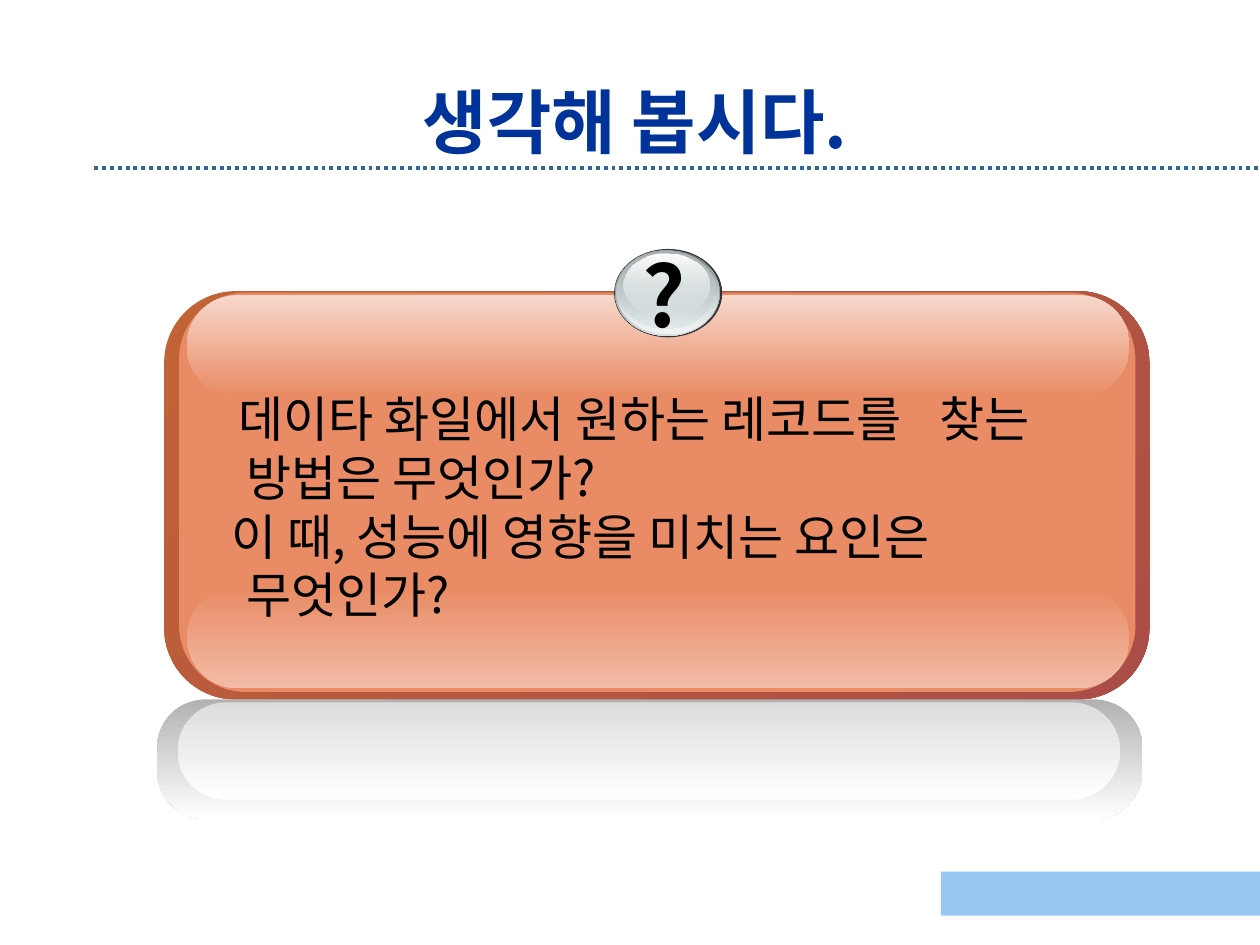
from lxml.etree import SubElement
from pptx import Presentation
from pptx.dml.color import RGBColor as Rgb
from pptx.enum.dml import MSO_LINE as Dash
from pptx.enum.shapes import MSO_CONNECTOR as Link, MSO_SHAPE as Kind
from pptx.enum.text import MSO_ANCHOR as Anchor, PP_ALIGN as Align
from pptx.oxml.ns import qn
from pptx.util import Cm, Pt

FONT = "Noto Sans CJK KR"
HUE = {
    "navy": "003399", "rule": "336699", "sky": "99C7F3", "ink": "000000",
    "rust": "C16237", "wine": "AB4E47", "coral": "E98B65", "peach": "F2BCA6",
    "blush": "F8D8CC", "coal": "333333", "slate": "636869", "mist": "D6E1E2",
    "pearl": "F1F5F5", "steel": "AAB2B3", "white": "FFFFFF", "gray": "B2B2B2",
    "pale": "DDDDDD",
}
TITLE = "생각해 봅시다."
ASK = [
    ("데이타 화일에서 원하는 레코드를\t찾는 방법은 무엇인가?", -0.16),
    ("이 때, 성능에 영향을 미치는 요인은 무엇인가?", -0.31),
]
BAR = [((18.97, 17.57, 6.43, 0.89), None, ["sky"], 0)]
PANEL = [
    ((3.31, 5.87, 19.86, 8.23), 0.175, ["rust", "wine"], 45),
    ((3.61, 5.9, 19.28, 8.05), 0.167, ["coral"], 0),
    ((3.77, 11.84, 19, 2.03), 0.5, ["coral", "peach"], 90),
    ((3.77, 5.95, 19, 2.03), 0.5, ["blush", "coral"], 90),
]
BADGE = [
    ((12.38, 5.02, 2.18, 1.78), None, ["coal"], 0),
    ((12.4, 5.04, 2.11, 1.73), None, ["slate", "mist"], 90),
    ((12.42, 5.04, 2.06, 1.68), None, [("mist", 0), "pearl"], 90),
    ((12.45, 5.06, 1.96, 1.57), None, ["steel", ("mist", 48)], 90),
    ((12.56, 5.12, 1.75, 1.27), None, ["white", ("mist", 38)], 90),
]
ECHO = [
    ((3.17, 14.1, 19.86, 2.41), 0.404, ["gray", "white"], 90),
    ((3.58, 14.16, 19, 1.96), 0.5, ["pale", "white"], 90),
]


def tint(name):
    return Rgb.from_string(HUE[name])


def put(obj, **vals):
    for key, val in vals.items():
        setattr(obj, key, val)


def spot(box):
    return [Cm(n) for n in box]


def paint(fill, hues, angle):
    if len(hues) == 1:
        fill.solid()
        fill.fore_color.rgb = tint(hues[0])
        return
    fill.gradient()
    fill.gradient_angle = 360 - angle
    for stop, hue in zip(fill.gradient_stops, hues):
        name, alpha = (hue, 100) if isinstance(hue, str) else hue
        stop.color.rgb = tint(name)
        if alpha < 100:
            node = stop._gs.find(qn("a:srgbClr"))
            SubElement(node, qn("a:alpha"), val=str(alpha * 1000))


def stack(shapes, kind, parts):
    for box, bend, hues, angle in parts:
        shape = shapes.add_shape(kind, *spot(box))
        shape.shadow.inherit = False
        shape.line.fill.background()
        if bend:
            shape.adjustments[0] = bend
        paint(shape.fill, hues, angle)


def write(para, text, size, hue, bold=False):
    run = para.add_run()
    run.text = text
    put(run.font, size=Pt(size), name=FONT, bold=bold)
    run.font.color.rgb = tint(hue)
    SubElement(run._r.get_or_add_rPr(), qn("a:ea"), typeface=FONT)


def head(slide):
    title = slide.shapes.title
    left, top, width, height = spot((1.91, 1.7, 21.79, 1.47))
    put(title, left=left, top=top, width=width, height=height)
    title.text_frame.vertical_anchor = Anchor.MIDDLE
    para = title.text_frame.paragraphs[0]
    para.alignment = Align.CENTER
    write(para, TITLE, 40, "navy", True)
    rule = slide.shapes.add_connector(Link.STRAIGHT, *spot((1.9, 3.38, 25.4, 3.38)))
    put(rule.line, width=Pt(2.25), dash_style=Dash.ROUND_DOT)
    rule.line.color.rgb = tint("rule")
    SubElement(rule._element.spPr, qn("a:effectLst"))


def ask(shapes):
    frame = shapes.add_textbox(*spot((3.3, 7.57, 19, 6.58))).text_frame
    put(frame, word_wrap=True, margin_top=Cm(0.26))
    for i, (text, shift) in enumerate(ASK):
        para = frame.add_paragraph() if i else frame.paragraphs[0]
        prop = para._p.get_or_add_pPr()
        for key, val in {"marL": 1.42, "indent": shift}.items():
            prop.set(key, str(Cm(val)))
        if "\t" in text:
            tabs = SubElement(prop, qn("a:tabLst"))
            SubElement(tabs, qn("a:tab"), pos=str(Cm(16.4)), algn="l")
        write(para, text, 28, "ink")


def mark(shapes):
    frame = shapes.add_textbox(*spot((12.7, 4.78, 1.47, 2.31))).text_frame
    frame.word_wrap = False
    write(frame.paragraphs[0], "?", 48, "ink", True)


def main():
    """Build the question slide and save it."""
    deck = Presentation()
    put(deck, slide_width=Cm(25.4), slide_height=Cm(19.05))
    slide = deck.slides.add_slide(deck.slide_layouts[5])
    shapes = slide.shapes
    head(slide)
    stack(shapes, Kind.RECTANGLE, BAR)
    stack(shapes, Kind.ROUNDED_RECTANGLE, PANEL)
    ask(shapes)
    stack(shapes, Kind.OVAL, BADGE)
    stack(shapes, Kind.ROUNDED_RECTANGLE, ECHO)
    mark(shapes)
    deck.save("out.pptx")


if __name__ == "__main__":
    main()
